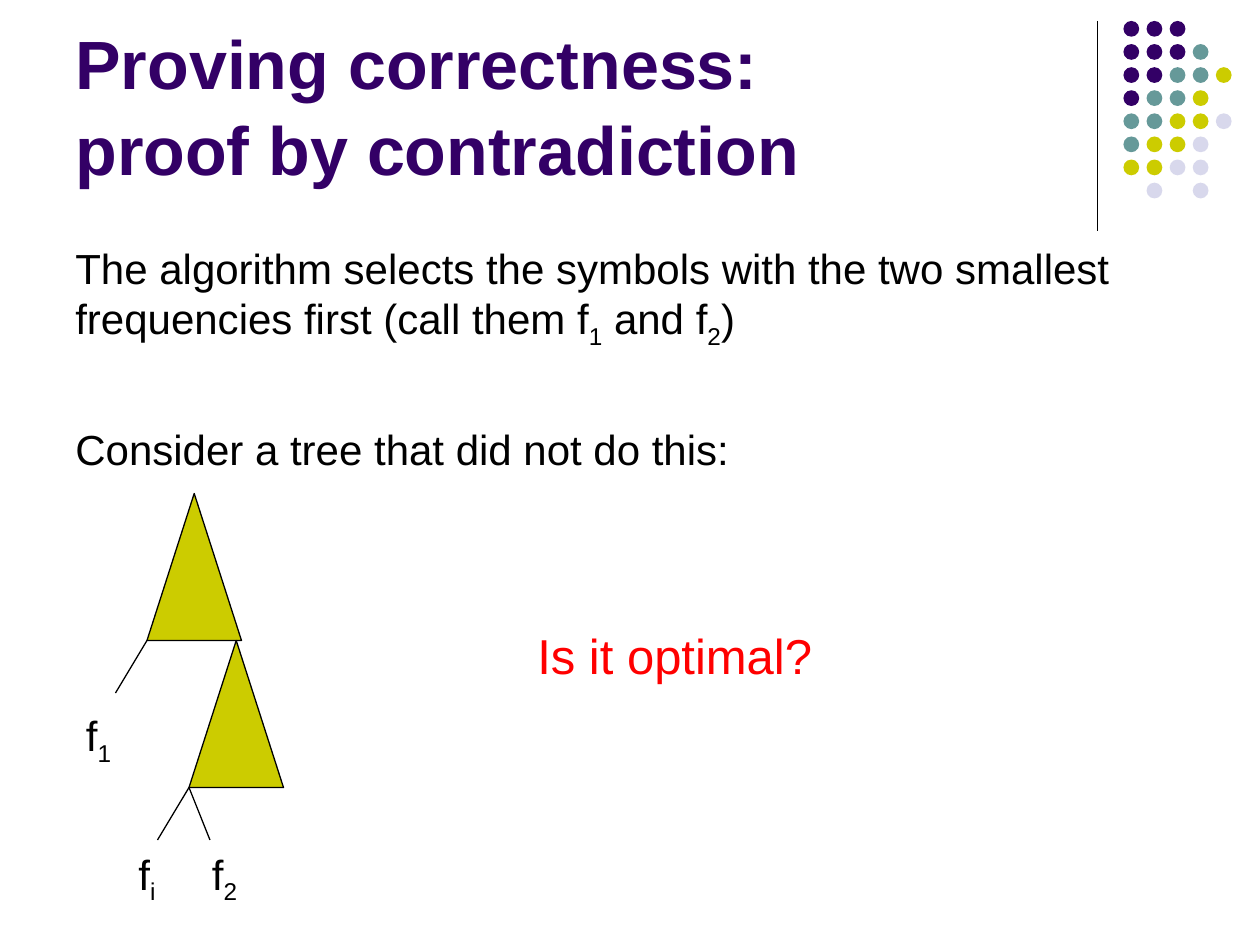
from dataclasses import dataclass

from lxml import etree
from pptx import Presentation
from pptx.dml.color import RGBColor
from pptx.enum.shapes import MSO_CONNECTOR, MSO_SHAPE
from pptx.enum.text import MSO_ANCHOR
from pptx.oxml.ns import qn
from pptx.util import Pt

STRAIGHT = MSO_CONNECTOR.STRAIGHT
TRIANGLE = MSO_SHAPE.ISOSCELES_TRIANGLE
OVAL = MSO_SHAPE.OVAL
TOP, BOTTOM = MSO_ANCHOR.TOP, MSO_ANCHOR.BOTTOM
EMU_PER_PX = 7620


@dataclass(frozen=True)
class Theme:
    font: str = "Arial"
    black: str = "000000"
    purple: str = "330066"
    teal: str = "669999"
    olive: str = "CCCC00"
    lilac: str = "D8D8EC"
    red: str = "FF0000"
    title: int = 39
    body: int = 24
    question: int = 28
    line: float = 0.75


@dataclass(frozen=True)
class Box:
    x: int
    y: int
    w: int
    h: int


@dataclass(frozen=True)
class Text:
    box: Box
    paragraphs: tuple[str, ...]
    size: int
    color: str
    bold: bool = False
    anchor: MSO_ANCHOR = TOP
    wrap: bool = True
    before: int = 0
    gap: int = 0
    spacing: float = 1.0


@dataclass(frozen=True)
class Line:
    x1: int
    y1: int
    x2: int
    y2: int


THEME = Theme()
DOT_COLORS = {"P": THEME.purple, "T": THEME.teal, "O": THEME.olive, "L": THEME.lilac}
DOT_ROWS = ("PPP", "PPPT", "PPTTO", "PTTO", "TTOOL", "TOOL", "OOLL", " L L")
DOT_X, DOT_Y, DOT_PITCH, DOT_SIZE = 1070, 20, 22, 15

TRIANGLES = (Box(140, 470, 90, 140), Box(180, 610, 90, 140))
LINES = (
    Line(1045, 20, 1045, 220),
    Line(140, 610, 110, 660),
    Line(180, 750, 150, 800),
    Line(180, 750, 200, 800),
)
LABELS = (("f_1", 70, 670), ("f_i", 120, 802), ("f_2", 190, 802))
TEXTS = (
    Text(Box(60, 16, 990, 170), ("Proving correctness: \vproof by contradiction",),
         THEME.title, THEME.purple, bold=True, anchor=BOTTOM, spacing=1.05),
    Text(Box(60, 225, 1080, 225),
         ("The algorithm selects the symbols with the two smallest "
          "frequencies first (call them f_1_ and f_2_)",
          "Consider a tree that did not do this:"),
         THEME.body, THEME.black, before=3, gap=42),
    *(Text(Box(x, y, 70, 60), (label,), THEME.body, THEME.black, before=3)
      for label, x, y in LABELS),
    Text(Box(500, 590, 289, 68), ("Is it optimal?",),
         THEME.question, THEME.red, wrap=False),
)


def px(n: int) -> int:
    """Turn pixels into EMU."""
    return n * EMU_PER_PX


def rgb(color: str) -> RGBColor:
    """Turn a hex string into a colour."""
    return RGBColor.from_string(color)


def add_shape(s, kind: MSO_SHAPE, box: Box, fill: str, outlined: bool) -> None:
    """Draw a filled preset shape."""
    sp = s.shapes.add_shape(kind, px(box.x), px(box.y), px(box.w), px(box.h))
    sp.shadow.inherit = False
    sp.fill.solid()
    sp.fill.fore_color.rgb = rgb(fill)
    if outlined:
        sp.line.color.rgb = rgb(THEME.black)
        sp.line.width = Pt(THEME.line)
    else:
        sp.line.fill.background()


def add_line(s, line: Line) -> None:
    """Draw a thin straight line."""
    sp = s.shapes.add_connector(
        STRAIGHT, px(line.x1), px(line.y1), px(line.x2), px(line.y2))
    sp.line.color.rgb = rgb(THEME.black)
    sp.line.width = Pt(THEME.line)
    etree.SubElement(sp._element.spPr, qn("a:effectLst"))


def fill_paragraph(p, marked: str, text: Text) -> None:
    """Write a paragraph whose underscores switch subscript on and off."""
    first, *rest = marked.split("_")
    p.text = first
    for i, part in enumerate(rest):
        r = p.add_run()
        r.text = part
        if i % 2 == 0:
            r.font._element.set("baseline", "-25000")
    for r in p.runs:
        r.font.name = THEME.font
        r.font.size = Pt(text.size)
        r.font.bold = text.bold
        r.font.color.rgb = rgb(text.color)


def add_text(s, text: Text) -> None:
    """Draw a text box with its paragraphs."""
    box = text.box
    tf = s.shapes.add_textbox(px(box.x), px(box.y), px(box.w), px(box.h)).text_frame
    tf.word_wrap = text.wrap
    tf.vertical_anchor = text.anchor
    for i, marked in enumerate(text.paragraphs):
        p = tf.add_paragraph() if i else tf.paragraphs[0]
        fill_paragraph(p, marked, text)
        p.space_before = Pt(text.gap if i else text.before)
        p.line_spacing = text.spacing


def add_dots(s) -> None:
    """Draw the corner grid of coloured dots."""
    for row, codes in enumerate(DOT_ROWS):
        for col, code in enumerate(codes):
            if code in DOT_COLORS:
                box = Box(DOT_X + col * DOT_PITCH, DOT_Y + row * DOT_PITCH,
                          DOT_SIZE, DOT_SIZE)
                add_shape(s, OVAL, box, DOT_COLORS[code], outlined=False)


def main() -> None:
    """Build and save the slide."""
    prs = Presentation()
    prs.slide_width, prs.slide_height = px(1200), px(900)
    s = prs.slides.add_slide(prs.slide_layouts[6])
    add_dots(s)
    for box in TRIANGLES:
        add_shape(s, TRIANGLE, box, THEME.olive, outlined=True)
    for line in LINES:
        add_line(s, line)
    for text in TEXTS:
        add_text(s, text)
    prs.save("out.pptx")


if __name__ == "__main__":
    main()
